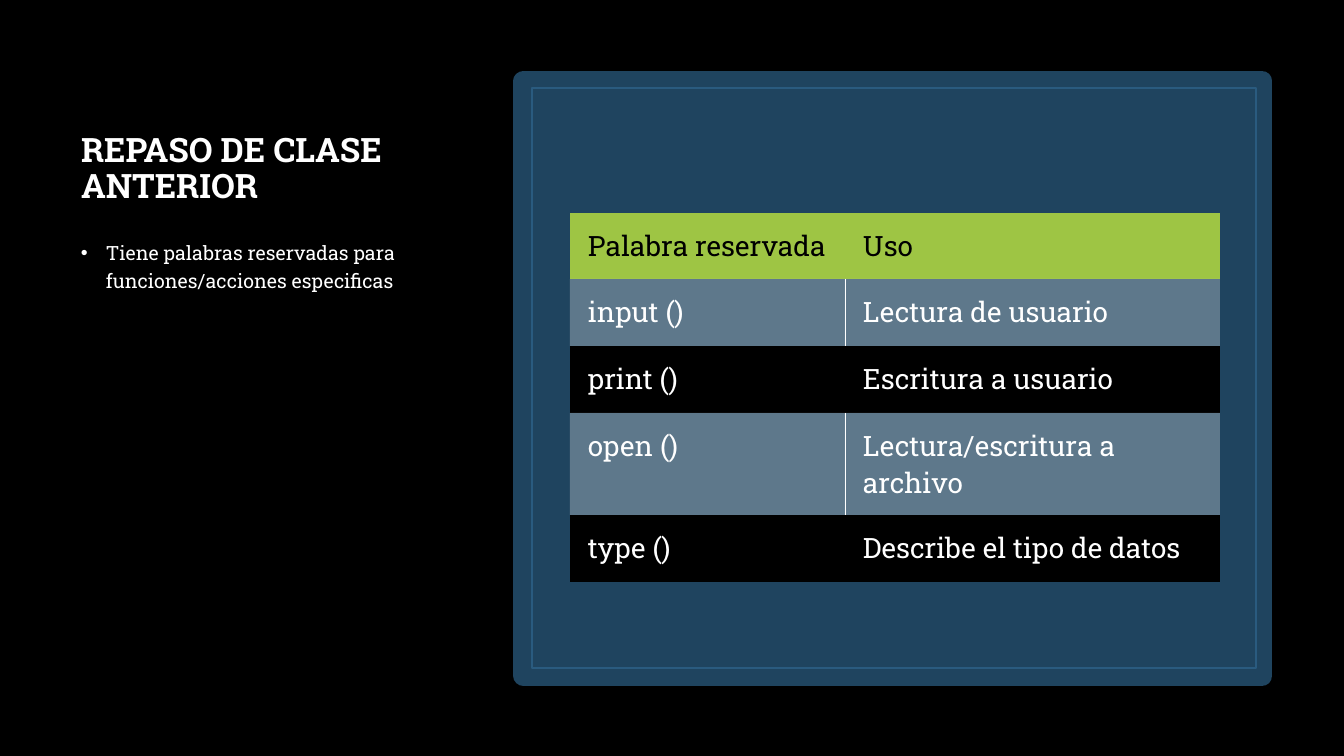
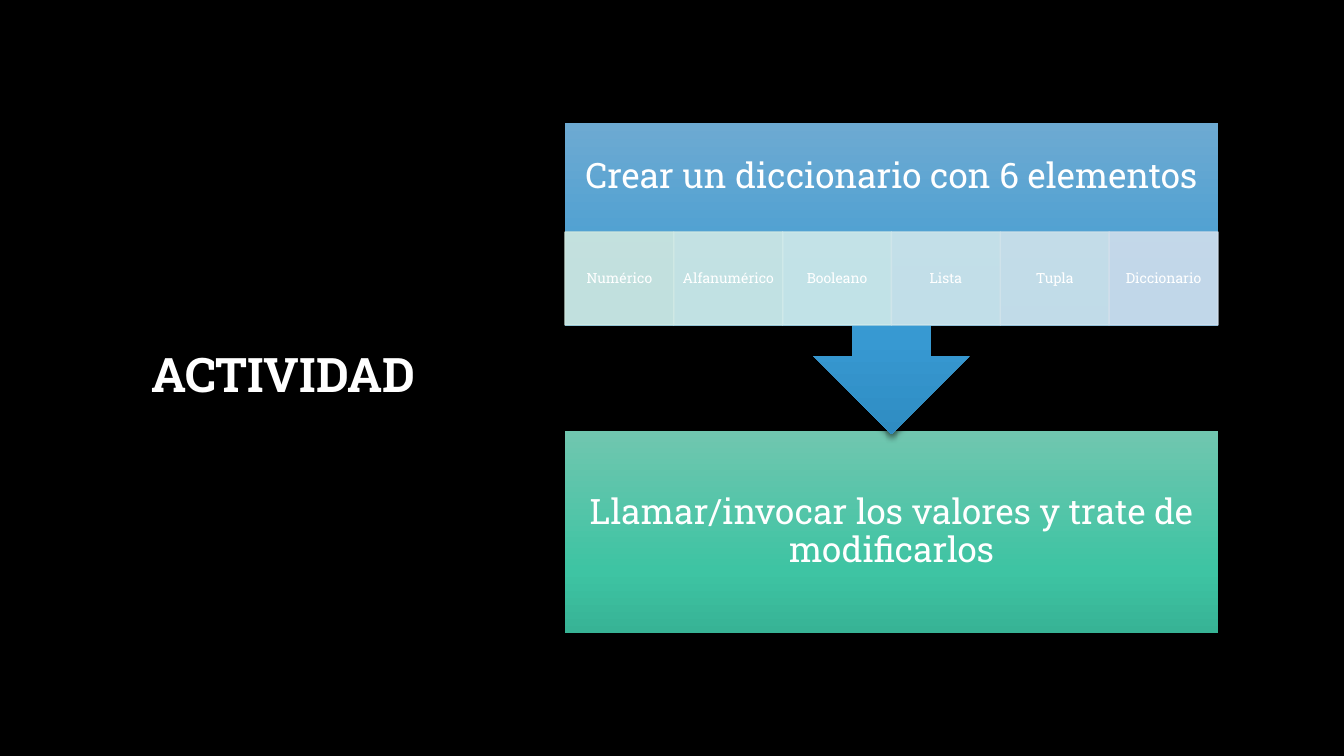
import lxml.etree
import pptx
import pptx.dml.color
import pptx.enum.shapes
import pptx.enum.text
import pptx.oxml.ns
import pptx.util

# Shared look
PX = 914400 / 100.8
FONT = "Roboto Slab"
BLACK, WHITE = "000000", "FFFFFF"
NAVY, STEEL, LIME, MIST = "1F445F", "2A5B7F", "9EC544", "F2F2F2"
GREENS = [(0, "70C6AF"), (69, "3EC4A3"), (100, "37B395")]
BLUES = [(0, "6DAAD2"), (69, "3799D2"), (100, "2F8CC2")]
PLAIN_TABLE = "{2D5ABB26-0587-4C30-8999-92F81FD0307C}"

ALIGN = pptx.enum.text.PP_ALIGN
ANCHOR = pptx.enum.text.MSO_ANCHOR
SHAPE = pptx.enum.shapes.MSO_SHAPE
qn = pptx.oxml.ns.qn

# Content
KEYWORDS = [
    ("Palabra reservada", "Uso"),
    ("input ()", "Lectura de usuario"),
    ("print ()", "Escritura a usuario"),
    ("open ()", "Lectura/escritura a archivo"),
    ("type ()", "Describe el tipo de datos"),
]
TYPES = [
    ("Numérico", "D0E8E0"),
    ("Alfanumérico", "D0E9E5"),
    ("Booleano", "D0EAEA"),
    ("Lista", "D0E6EB"),
    ("Tupla", "D0E3EB"),
    ("Diccionario", "D0DEEC"),
]


def px(count):
    return pptx.util.Emu(round(count * PX))


def rgb(code):
    return pptx.dml.color.RGBColor.from_string(code)


def add_node(parent, tag, **attributes):
    node = lxml.etree.SubElement(parent, qn(tag))
    for name, value in attributes.items():
        node.set(name, str(value))
    return node


def paint(fill, color, alpha=100):
    """Solid fill, optionally translucent."""
    fill.solid()
    fill.fore_color.rgb = rgb(color)
    if alpha < 100:
        clr = fill._xPr.find(".//" + qn("a:srgbClr"))
        add_node(clr, "a:alpha", val=alpha * 1000)


def paint_gradient(fill, stops):
    """Top-to-bottom gradient from (percent, colour) stops."""
    fill.gradient()
    fill.gradient_angle = 270
    stop_list = fill._xPr.find(".//" + qn("a:gsLst"))
    for old in list(stop_list):
        stop_list.remove(old)
    for percent, color in stops:
        stop = add_node(stop_list, "a:gs", pos=percent * 1000)
        add_node(stop, "a:srgbClr", val=color)


def add_shadow(box, alpha, blur, distance):
    """Black shadow falling straight down; blur and distance in points."""
    effects = box._element.spPr.find(qn("a:effectLst"))
    shadow = add_node(effects, "a:outerShdw", blurRad=round(blur * 12700),
                      dist=round(distance * 12700), dir=5400000,
                      algn="ctr", rotWithShape=0)
    clr = add_node(shadow, "a:srgbClr", val=BLACK)
    add_node(clr, "a:alpha", val=alpha * 1000)


def write(frame, text, size, color=WHITE, bold=False, align=ALIGN.LEFT,
          anchor=ANCHOR.TOP, spacing=None, insets=None):
    """Fill a text frame with one formatted paragraph; insets are l, t, r, b."""
    frame.word_wrap = True
    frame.auto_size = pptx.enum.text.MSO_AUTO_SIZE.NONE
    frame.vertical_anchor = anchor
    if insets:
        (frame.margin_left, frame.margin_top,
         frame.margin_right, frame.margin_bottom) = map(px, insets)
    return write_para(frame.paragraphs[0], text, size, color, bold, align, spacing)


def write_para(para, text, size, color=WHITE, bold=False, align=ALIGN.LEFT,
               spacing=None):
    para.alignment = align
    para.line_spacing = spacing
    span = para.add_run()
    span.text = text
    span.font.name = FONT
    span.font.size = pptx.util.Pt(size)
    span.font.bold = bold
    span.font.color.rgb = rgb(color)
    return para


def add_page(deck, title, left, top, width, height, **style):
    """Title-only page with its title placed and styled."""
    page = deck.slides.add_slide(deck.slide_layouts[5])
    box = page.shapes.title
    box.left, box.top, box.width, box.height = map(px, (left, top, width, height))
    write(box.text_frame, title, bold=True, spacing=0.9, **style)
    return page


def add_box(page, left, top, width, height, kind=SHAPE.RECTANGLE, fill=None,
            alpha=100, line=None, line_width=1):
    """Preset shape; fill is a colour, a list of gradient stops or None."""
    box = page.shapes.add_shape(kind, *map(px, (left, top, width, height)))
    box.shadow.inherit = False
    if fill is None:
        box.fill.background()
    elif isinstance(fill, list):
        paint_gradient(box.fill, fill)
    else:
        paint(box.fill, fill, alpha)
    if line:
        paint(box.line.fill, line, alpha)
        box.line.width = pptx.util.Pt(line_width)
    else:
        box.line.fill.background()
    return box


def add_bullet(page, left, top, width, height, text):
    box = page.shapes.add_textbox(*map(px, (left, top, width, height)))
    para = write(box.text_frame, text, 14, spacing=1.2)
    para.space_before = pptx.util.Pt(10)
    props = para._p.get_or_add_pPr()
    props.set("marL", str(px(25)))
    props.set("indent", str(-px(25)))
    add_node(props, "a:buFont", typeface="Arial")
    add_node(props, "a:buChar", char="•")


def add_cell_border(cell, side):
    """Thin white border on one side: a:lnL or a:lnR."""
    props = cell._tc.get_or_add_tcPr()
    line = add_node(props, side, w=6350)
    add_node(add_node(line, "a:solidFill"), "a:srgbClr", val=WHITE)
    props.insert(0, line)


def add_keyword_table(page, left, top, widths, heights):
    frame = page.shapes.add_table(len(heights), len(widths), px(left), px(top),
                                  px(sum(widths)), px(sum(heights)))
    table = frame.table
    table._tbl.tblPr.find(qn("a:tableStyleId")).text = PLAIN_TABLE
    table.first_row = table.horz_banding = False
    for column, width in zip(table.columns, widths):
        column.width = px(width)
    for row, height in zip(table.rows, heights):
        row.height = px(height)

    for r, texts in enumerate(KEYWORDS):
        header, banded = r == 0, r % 2 == 1
        for c, text in enumerate(texts):
            cell = table.cell(r, c)
            cell.margin_left, cell.margin_right = px(18), px(15)
            cell.margin_top = cell.margin_bottom = px(14)
            cell.vertical_anchor = ANCHOR.MIDDLE if header else ANCHOR.TOP
            write_para(cell.text_frame.paragraphs[0], text, 20,
                       color=BLACK if header else WHITE)
            if banded:
                paint(cell.fill, MIST, alpha=30)
                add_cell_border(cell, "a:lnL" if c else "a:lnR")
            else:
                paint(cell.fill, LIME if header else BLACK)


def add_step(page, text, left, top, width, height, kind, stops, bottom=19):
    """Large gradient step with centred text and a soft shadow."""
    box = add_box(page, left, top, width, height, kind=kind, fill=stops)
    add_shadow(box, alpha=54, blur=4, distance=3)
    write(box.text_frame, text, 25, align=ALIGN.CENTER, anchor=ANCHOR.MIDDLE,
          spacing=0.9, insets=(19, 19, 19, bottom))


def build_review(deck):
    page = add_page(deck, "REPASO DE CLASE ANTERIOR", 71, 71, 371, 140,
                    size=24, anchor=ANCHOR.BOTTOM)
    add_bullet(page, 71, 231, 371, 445,
               "Tiene palabras reservadas para funciones/acciones especificas")
    # Framed panel behind the table
    panel = add_box(page, 524, 81, 738, 595, fill=NAVY, line=NAVY, line_width=15)
    add_shadow(panel, alpha=40, blur=4.3, distance=1.4)
    add_box(page, 532, 88, 724, 580, line=STEEL)
    add_keyword_table(page, 570, 213, (275, 375), (66, 67, 67, 102, 67))


def build_activity(deck):
    page = add_page(deck, "ACTIVIDAD", 83, 68, 401, 618, size=34,
                    align=ALIGN.CENTER, anchor=ANCHOR.MIDDLE)
    left, width = 565, 653
    add_step(page, "Llamar/invocar los valores y trate de modificarlos",
             left, 431, width, 202, SHAPE.RECTANGLE, GREENS)
    # The bottom inset keeps the heading above the row of types
    add_step(page, "Crear un diccionario con 6 elementos",
             left, 123, width, 311, SHAPE.DOWN_ARROW_CALLOUT, BLUES, bottom=112)
    tile = width / len(TYPES)
    for i, (name, color) in enumerate(TYPES):
        box = add_box(page, left + i * tile, 232, tile, 93, fill=color,
                      alpha=90, line=color)
        write(box.text_frame, name, 10, align=ALIGN.CENTER,
              anchor=ANCHOR.MIDDLE, spacing=0.9, insets=(8, 1, 8, 1))


def main():
    deck = pptx.Presentation()
    deck.slide_width, deck.slide_height = px(1344), px(756)
    paint(deck.slide_master.background.fill, BLACK)
    build_review(deck)
    build_activity(deck)
    deck.save("out.pptx")


if __name__ == "__main__":
    main()
